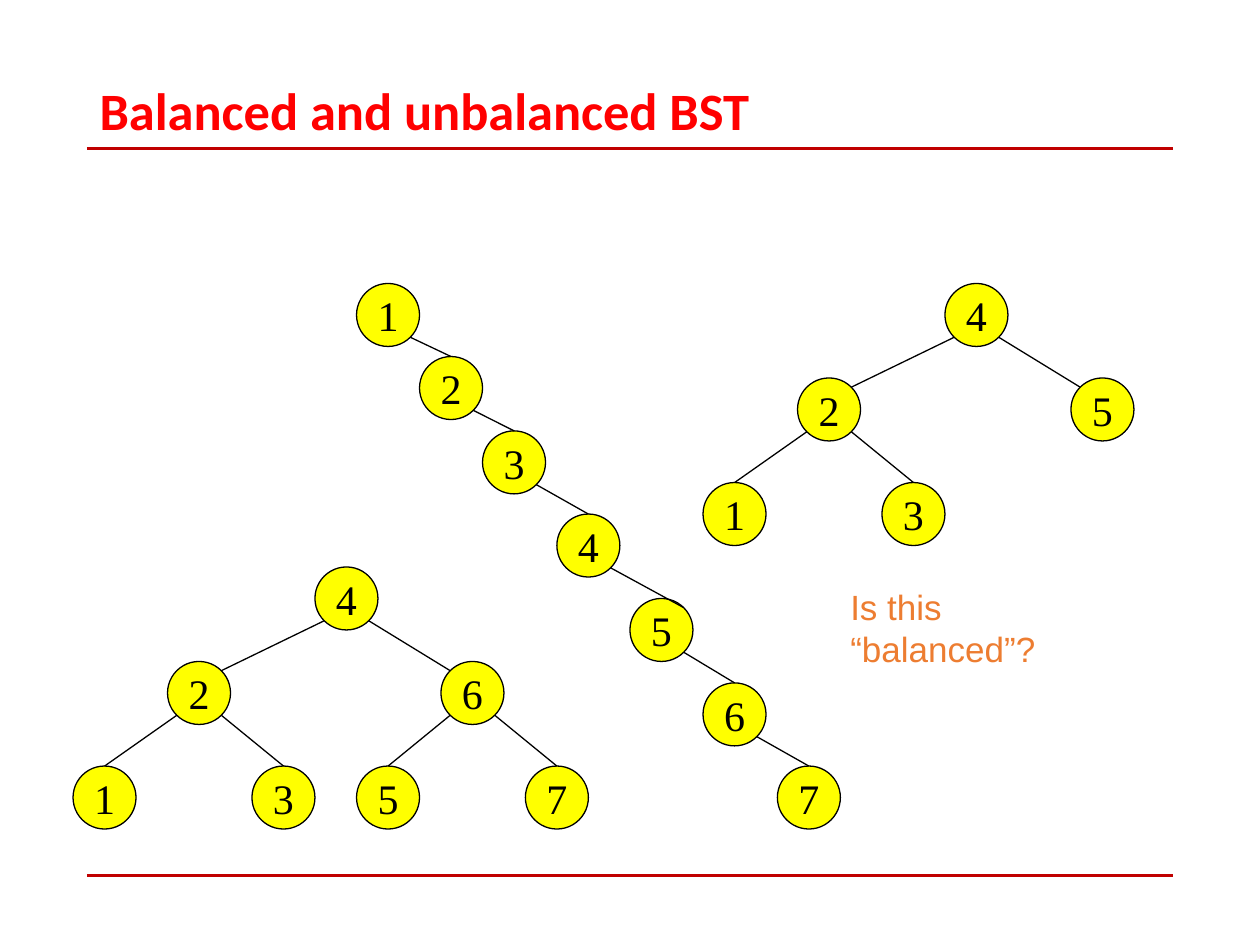
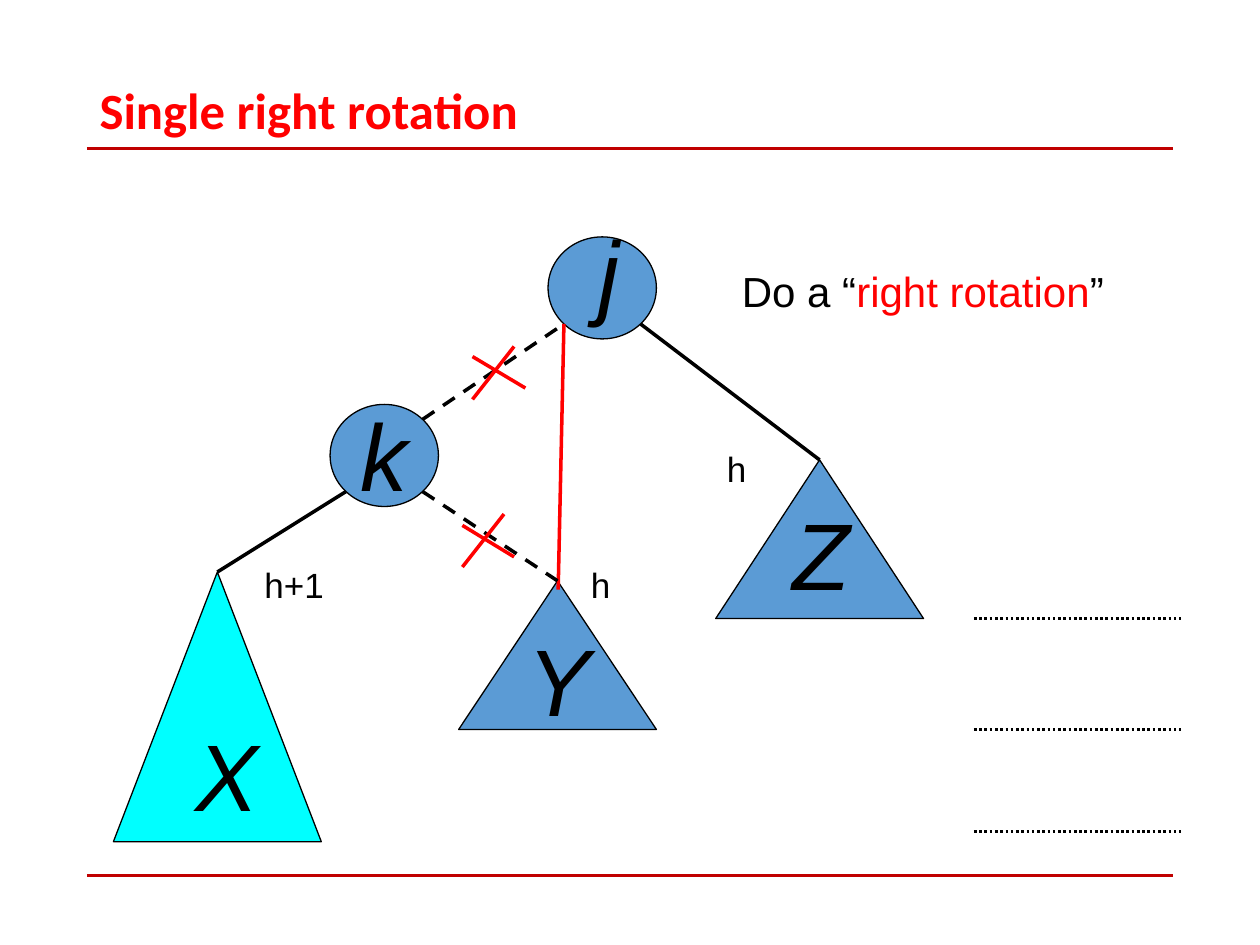
from dataclasses import dataclass
from typing import NamedTuple

from lxml import etree
from pptx import Presentation
from pptx.dml.color import RGBColor
from pptx.enum.dml import MSO_LINE
from pptx.enum.shapes import MSO_CONNECTOR, MSO_SHAPE
from pptx.enum.text import MSO_ANCHOR, MSO_AUTO_SIZE, PP_ALIGN
from pptx.oxml.ns import qn
from pptx.util import Inches, Pt

RED = RGBColor(0xFF, 0x00, 0x00)
DARK_RED = RGBColor(0xC0, 0x00, 0x00)
BLACK = RGBColor(0x00, 0x00, 0x00)
YELLOW = RGBColor(0xFF, 0xFF, 0x00)
ORANGE = RGBColor(0xED, 0x7D, 0x31)
BLUE = RGBColor(0x5B, 0x9B, 0xD5)
CYAN = RGBColor(0x00, 0xFF, 0xFF)

ELLIPSE = MSO_SHAPE.OVAL
TRIANGLE = MSO_SHAPE.ISOSCELES_TRIANGLE
STRAIGHT = MSO_CONNECTOR.STRAIGHT
DASH = MSO_LINE.DASH
DOTS = MSO_LINE.ROUND_DOT
MIDDLE = MSO_ANCHOR.MIDDLE
TOP = MSO_ANCHOR.TOP
LEFT = PP_ALIGN.LEFT
CENTER = PP_ALIGN.CENTER
FIT_SHAPE = MSO_AUTO_SIZE.SHAPE_TO_FIT_TEXT
NO_FIT = MSO_AUTO_SIZE.NONE

TITLE_ONLY = 5
TOP_SITE = 0
DIAGONAL = 0.5 ** 0.5
NODE_SIZE = 0.5


class Point(NamedTuple):
    x: float
    y: float


class Box(NamedTuple):
    left: float
    top: float
    width: float
    height: float

    def corner(self, horizontal: int, vertical: int) -> Point:
        return Point(
            self.left + self.width / 2 * (1 + horizontal * DIAGONAL),
            self.top + self.height / 2 * (1 + vertical * DIAGONAL),
        )

    def apex(self) -> Point:
        return Point(self.left + self.width / 2, self.top)


@dataclass(frozen=True)
class BalancedTree:
    root: Point
    level_order: str


@dataclass(frozen=True)
class Subtree:
    letter: str
    box: Box
    letter_at: Point
    fill: RGBColor


@dataclass(frozen=True)
class Label:
    text: str
    box: Box


SLOTS = (
    Point(0, 0), Point(-1.17, 0.75), Point(1, 0.75),
    Point(-1.92, 1.58), Point(-0.5, 1.58), Point(0.33, 1.58), Point(1.67, 1.58),
)
BALANCED_TREES = (
    BalancedTree(Point(7.5, 2.25), "42513"),
    BalancedTree(Point(2.5, 4.5), "4261357"),
)
CHAIN = (
    Point(2.83, 2.25), Point(3.33, 2.83), Point(3.83, 3.42), Point(4.42, 4.08),
    Point(5, 4.75), Point(5.58, 5.42), Point(6.17, 6.08),
)
CHAIN_SIDE_ENTRY = 4

NODE_J = Subtree("j", Box(4.35, 1.88, 0.86, 0.81), Point(4.65, 1.65), BLUE)
NODE_K = Subtree("k", Box(2.62, 3.21, 0.86, 0.81), Point(2.76, 3.1), BLUE)
TREE_X = Subtree("X", Box(0.9, 4.54, 1.65, 2.14), Point(1.45, 5.64), CYAN)
TREE_Y = Subtree("Y", Box(3.64, 4.61, 1.57, 1.18), Point(4.09, 4.89), BLUE)
TREE_Z = Subtree("Z", Box(5.68, 3.65, 1.65, 1.26), Point(6.19, 3.89), BLUE)
HEIGHT_LABELS = (
    Label("h", Box(5.67, 3.5, 0.35, 0.44)),
    Label("h+1", Box(2, 4.42, 0.67, 0.44)),
    Label("h", Box(4.59, 4.42, 0.35, 0.44)),
)
LEVEL_HEIGHTS = (4.91, 5.79, 6.6)
CROSSES = (
    (Point(3.75, 2.83), Point(4.17, 3.08)),
    (Point(4.08, 2.75), Point(3.75, 3.17)),
    (Point(3.67, 4.17), Point(4.08, 4.42)),
    (Point(4, 4.08), Point(3.67, 4.5)),
)


def inches(values: tuple) -> list:
    return [Inches(value) for value in values]


def write(shape, *runs, size: float, font: str = "Arial", color: RGBColor = BLACK,
          bold: bool = False, italic: bool = False, align=LEFT, anchor=TOP,
          wrap: bool = False, fit=FIT_SHAPE, line_spacing: float | None = None,
          space_before: float = 0) -> None:
    frame = shape.text_frame
    frame.word_wrap = wrap
    frame.auto_size = fit
    frame.vertical_anchor = anchor
    paragraph = frame.paragraphs[0]
    paragraph.alignment = align
    paragraph.line_spacing = line_spacing
    paragraph.space_before = Pt(space_before)
    for item in runs:
        text, run_color = (item, color) if isinstance(item, str) else item
        run = paragraph.add_run()
        run.text = text
        run.font.size = Pt(size)
        run.font.name = font
        run.font.bold = bold
        run.font.italic = italic
        run.font.color.rgb = run_color


def add_text(slide, box: Box, *runs, **style) -> None:
    write(slide.shapes.add_textbox(*inches(box)), *runs, **style)


def add_outlined(slide, kind, box: Box, fill: RGBColor):
    shape = slide.shapes.add_shape(kind, *inches(box))
    shape.shadow.inherit = False
    shape.fill.solid()
    shape.fill.fore_color.rgb = fill
    shape.line.color.rgb = BLACK
    shape.line.width = Pt(0.75)
    return shape


def add_line(slide, start: Point, end: Point, color: RGBColor = BLACK,
             width: float = 2, dash=None, top_of=None) -> None:
    connector = slide.shapes.add_connector(STRAIGHT, *inches(start + end))
    connector.line.color.rgb = color
    connector.line.width = Pt(width)
    if dash is not None:
        connector.line.dash_style = dash
    if top_of is not None:
        connector.end_connect(top_of, TOP_SITE)
    etree.SubElement(connector._element.spPr, qn("a:effectLst"))


def add_slide(presentation, title: str, title_size: float):
    slide = presentation.slides.add_slide(presentation.slide_layouts[TITLE_ONLY])
    for height in (1.18, 6.95):
        add_line(slide, Point(0.69, height), Point(9.31, height), DARK_RED, 1.5)
    shape = slide.shapes.title
    shape.left, shape.top, shape.width, shape.height = inches((0.69, 0.61, 8.63, 0.58))
    write(shape, title, size=title_size, font="Calibri", color=RED, bold=True,
          anchor=MIDDLE, wrap=True, fit=NO_FIT, line_spacing=0.9)
    return slide


def add_nodes(slide, boxes: list, labels: str) -> list:
    nodes = []
    for box, label in zip(boxes, labels):
        node = add_outlined(slide, ELLIPSE, box, YELLOW)
        write(node, label, size=24, font="Times New Roman", align=CENTER,
              anchor=MIDDLE, fit=NO_FIT)
        nodes.append(node)
    return nodes


def add_balanced_tree(slide, tree: BalancedTree) -> None:
    boxes = [Box(tree.root.x + slot.x, tree.root.y + slot.y, NODE_SIZE, NODE_SIZE)
             for slot in SLOTS[:len(tree.level_order)]]
    nodes = add_nodes(slide, boxes, tree.level_order)
    for index in range(1, len(boxes)):
        side = -1 if index % 2 else 1
        start = boxes[(index - 1) // 2].corner(side, 1)
        if index < 3:
            add_line(slide, start, boxes[index].corner(-side, -1), width=0.75)
        else:
            add_line(slide, start, boxes[index].apex(), width=0.75, top_of=nodes[index])


def add_chain(slide) -> None:
    boxes = [Box(*place, NODE_SIZE, NODE_SIZE) for place in CHAIN]
    nodes = add_nodes(slide, boxes, "1234567")
    for index in range(1, len(boxes)):
        start = boxes[index - 1].corner(1, 1)
        if index == CHAIN_SIDE_ENTRY:
            add_line(slide, start, boxes[index].corner(1, -1), width=0.75)
        else:
            add_line(slide, start, boxes[index].apex(), width=0.75, top_of=nodes[index])


def add_subtree(slide, kind, subtree: Subtree):
    shape = add_outlined(slide, kind, subtree.box, subtree.fill)
    add_text(slide, Box(*subtree.letter_at, 0.53, 1), subtree.letter, size=54,
             italic=True, wrap=True, space_before=33.8)
    return shape


def build_balance_slide(presentation) -> None:
    slide = add_slide(presentation, "Balanced and unbalanced BST", 30)
    for tree in BALANCED_TREES:
        add_balanced_tree(slide, tree)
    add_chain(slide)
    add_text(slide, Box(6.65, 4.6, 2.47, 0.44), "Is this “balanced”?",
             size=20, color=ORANGE)


def build_rotation_slide(presentation) -> None:
    slide = add_slide(presentation, "Single right rotation", 29)
    for node in (NODE_J, NODE_K):
        add_subtree(slide, ELLIPSE, node)
    x_shape, y_shape, z_shape = (
        add_subtree(slide, TRIANGLE, tree) for tree in (TREE_X, TREE_Y, TREE_Z))
    j_left = NODE_J.box.corner(-1, 1)
    add_line(slide, NODE_K.box.corner(-1, 1), TREE_X.box.apex(), top_of=x_shape)
    add_line(slide, NODE_J.box.corner(1, 1), TREE_Z.box.apex(), top_of=z_shape)
    for height in LEVEL_HEIGHTS:
        add_line(slide, Point(7.73, height), Point(9.37, height), width=1.5, dash=DOTS)
    add_text(slide, Box(5.79, 2.06, 3.07, 0.5), "Do a “", ("right rotation", RED), "”",
             size=24)
    add_line(slide, j_left, Point(4.43, 4.68), RED)
    add_line(slide, NODE_K.box.corner(1, -1), j_left, dash=DASH)
    add_line(slide, NODE_K.box.corner(1, 1), TREE_Y.box.apex(), dash=DASH, top_of=y_shape)
    for start, end in CROSSES:
        add_line(slide, start, end, RED)
    for label in HEIGHT_LABELS:
        add_text(slide, label.box, label.text, size=20)


def main() -> None:
    presentation = Presentation()
    presentation.slide_width = Inches(10)
    presentation.slide_height = Inches(7.5)
    build_balance_slide(presentation)
    build_rotation_slide(presentation)
    presentation.save("out.pptx")


if __name__ == "__main__":
    main()
